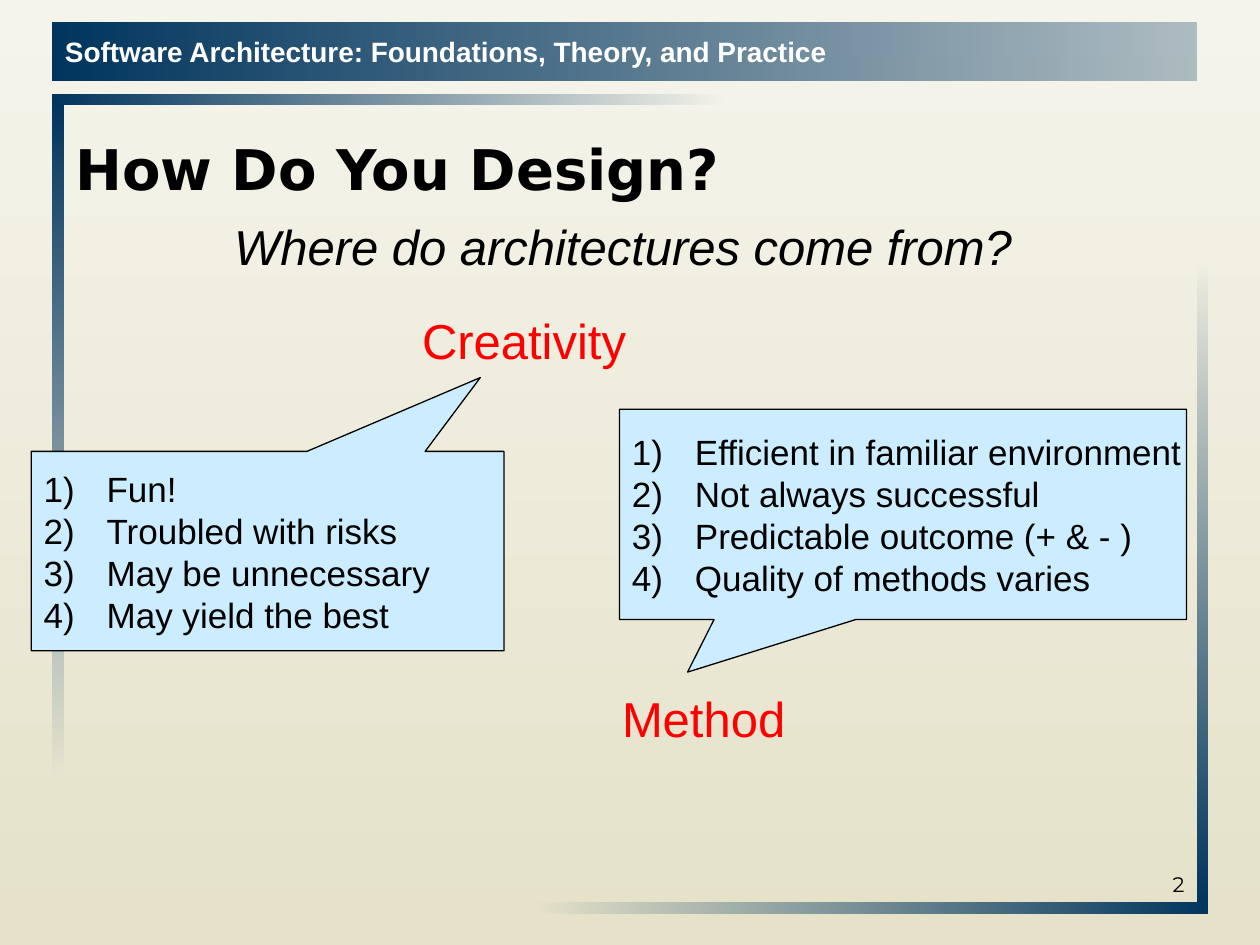
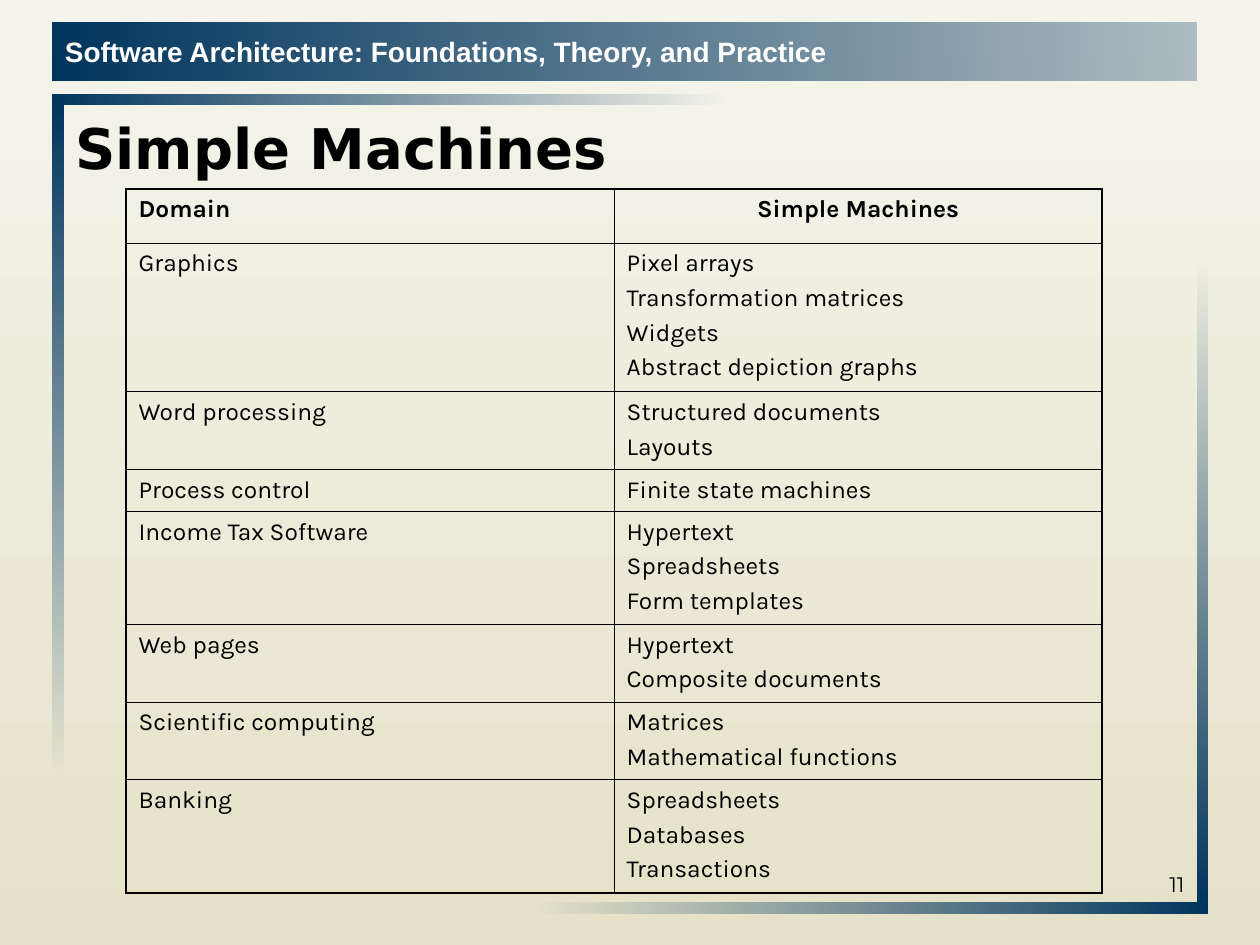
import pptx
import pptx.util
import pptx.dml.color
import pptx.enum.shapes
import pptx.enum.text
import pptx.oxml
import pptx.oxml.ns
import pptx.oxml.xmlchemy

Cm = pptx.util.Cm
Pt = pptx.util.Pt
SHAPE = pptx.enum.shapes.MSO_SHAPE
ANCHOR = pptx.enum.text.MSO_ANCHOR
ALIGN = pptx.enum.text.PP_ALIGN
OxmlElement = pptx.oxml.xmlchemy.OxmlElement

COLORS = {
    "navy": "00355E",
    "paper_top": "F5F4EB",
    "paper_bottom": "E5E2C9",
    "callout": "CCECFF",
    "red": "FF0000",
    "black": "000000",
    "white": "FFFFFF",
}
COURSE = "Software Architecture: Foundations, Theory, and Practice"
RIGHTWARD, DOWNWARD = 0, 270

# Frame bars: left, top, width, height, gradient angle, start and end opacity
FRAME_BARS = [
    (1.06, 1.9, 13.54, 0.21, RIGHTWARD, 100, 0),
    (1.06, 2.11, 0.22, 13.54, DOWNWARD, 100, 0),
    (10.8, 18.19, 13.54, 0.22, RIGHTWARD, 0, 100),
    (24.14, 5.28, 0.21, 12.9, DOWNWARD, 0, 100),
]

SIMPLE_MACHINES = [
    ("Graphics", ["Pixel arrays", "Transformation matrices", "Widgets",
                  "Abstract depiction graphs"]),
    ("Word processing", ["Structured documents", "Layouts"]),
    ("Process control", ["Finite state machines"]),
    ("Income Tax Software", ["Hypertext", "Spreadsheets", "Form templates"]),
    ("Web pages", ["Hypertext", "Composite documents"]),
    ("Scientific computing", ["Matrices", "Mathematical functions"]),
    ("Banking", ["Spreadsheets", "Databases", "Transactions"]),
]


def rgb(name):
    return pptx.dml.color.RGBColor.from_string(COLORS[name])


def fill_gradient(fill, start, end, angle, opacities=(100, 100)):
    fill.gradient()
    fill.gradient_angle = angle
    for i, (stop, color) in enumerate(zip(fill.gradient_stops, (start, end))):
        stop.position = i
        stop.color.rgb = rgb(color)
    clrs = fill._fill._gradFill.iter(pptx.oxml.ns.qn("a:srgbClr"))
    for clr, opacity in zip(clrs, opacities):
        if opacity < 100:
            alpha = OxmlElement("a:alpha")
            alpha.set("val", str(opacity * 1000))
            clr.append(alpha)


def number_paragraph(p):
    pPr = p._p.get_or_add_pPr()
    pPr.set("marL", str(Cm(1.27)))
    pPr.set("indent", str(-Cm(1.27)))
    bullet = OxmlElement("a:buAutoNum")
    bullet.set("type", "arabicParenR")
    pPr.append(bullet)


def write(tf, lines, size, font="Arial", color="black", bold=False,
          italic=False, align=ALIGN.LEFT, space=0, numbered=False):
    if isinstance(lines, str):
        lines = [lines]
    for i, line in enumerate(lines):
        p = tf.add_paragraph() if i else tf.paragraphs[0]
        if numbered:
            number_paragraph(p)
        p.alignment = align
        if i and space:
            p.space_before = Pt(space)
        r = p.add_run()
        r.text = line
        r.font.size = Pt(size)
        r.font.name = font
        r.font.bold = bold
        r.font.italic = italic
        r.font.color.rgb = rgb(color)


def add_label(s, box, text, size, anchor=ANCHOR.TOP, wrap=False, **fmt):
    tf = s.shapes.add_textbox(*map(Cm, box)).text_frame
    tf.word_wrap = wrap
    tf.vertical_anchor = anchor
    write(tf, text, size, **fmt)


def add_box(s, box, shape=SHAPE.RECTANGLE):
    sp = s.shapes.add_shape(shape, *map(Cm, box))
    sp.shadow.inherit = False
    sp.line.fill.background()
    sp.text_frame.word_wrap = False
    sp.text_frame.vertical_anchor = ANCHOR.MIDDLE
    return sp


def add_bar(s, box, angle, opacities):
    sp = add_box(s, box)
    fill_gradient(sp.fill, "navy", "navy", angle, opacities)
    return sp


def add_callout(s, box, tip, points):
    sp = add_box(s, box, SHAPE.RECTANGULAR_CALLOUT)
    sp.adjustments[0], sp.adjustments[1] = tip
    sp.fill.solid()
    sp.fill.fore_color.rgb = rgb("callout")
    sp.line.color.rgb = rgb("black")
    sp.line.width = Pt(0.75)
    write(sp.text_frame, points, 20, numbered=True)


def set_borders(cell, widths):
    """Draw the left, right, top and bottom borders of a cell."""
    tcPr = cell._tc.get_or_add_tcPr()
    for i, (side, width) in enumerate(zip("LRTB", widths)):
        ln = pptx.oxml.parse_xml(
            f'<a:ln{side} {pptx.oxml.ns.nsdecls("a")} w="{Pt(width)}">'
            f'<a:solidFill><a:srgbClr val="{COLORS["black"]}"/></a:solidFill>'
            f'</a:ln{side}>')
        tcPr.insert(i, ln)


def add_machine_table(s, left, top, col_width):
    # Row heights follow the number of lines in the second column
    heights = [1.09] + [0.85 + 0.71 * (len(m) - 1) for _, m in SIMPLE_MACHINES]
    rows = [("Domain", "Simple Machines")] + SIMPLE_MACHINES
    last = len(rows) - 1
    table = s.shapes.add_table(len(rows), 2, Cm(left), Cm(top),
                               Cm(2 * col_width), Cm(sum(heights))).table
    table.first_row = table.horz_banding = False
    for col in table.columns:
        col.width = Cm(col_width)
    for i, (row, height) in enumerate(zip(rows, heights)):
        table.rows[i].height = Cm(height)
        for j, text in enumerate(row):
            cell = table.cell(i, j)
            cell.fill.background()
            outer = (j == 0, j == 1, i == 0, i == last)
            set_borders(cell, [1.08 if edge else 0.45 for edge in outer])
            centred = i == 0 and j == 1
            write(cell.text_frame, text, 14, font="Karla", bold=i == 0,
                  align=ALIGN.CENTER if centred else ALIGN.LEFT, space=3.5)


def add_slide(prs, title, number, title_height):
    """Add a slide with the shared background, band, frame and title."""
    s = prs.slides.add_slide(prs.slide_layouts[6])
    fill_gradient(s.background.fill, "paper_top", "paper_bottom", DOWNWARD)
    for *box, angle, start, end in FRAME_BARS:
        add_bar(s, box, angle, (start, end))
    band = add_bar(s, (1.06, 0.45, 23.07, 1.18), RIGHTWARD, (100, 29))
    write(band.text_frame, COURSE, 16, color="white", bold=True)
    add_label(s, (1.27, 2.12, 22.86, title_height), title, 32, wrap=True,
              anchor=ANCHOR.MIDDLE, font="DejaVu Sans", bold=True)
    add_label(s, (18.2, 16.93, 5.93, 1.27), str(number), 12, wrap=True,
              anchor=ANCHOR.BOTTOM, font="Montserrat", align=ALIGN.RIGHT)
    return s


def main():
    prs = pptx.Presentation()
    prs.slide_width, prs.slide_height = Cm(25.4), Cm(19.05)

    # Sources of design
    s = add_slide(prs, "How Do You Design?", 2, 2.54)
    add_label(s, (4.47, 4.25, 16.2, 1.45),
              "Where do architectures come from?", 28, italic=True)
    add_label(s, (12.29, 13.76, 4, 1.45), "Method", 28, color="red")
    add_callout(s, (12.49, 8.25, 11.43, 4.24), (-0.38, 0.75),
                ["Efficient in familiar environment", "Not always successful",
                 "Predictable outcome (+ & - )", "Quality of methods varies"])
    add_label(s, (8.26, 6.14, 4.7, 1.45), "Creativity", 28, color="red")
    add_callout(s, (0.63, 9.1, 9.53, 4.02), (0.45, -0.87),
                ["Fun!", "Troubled with risks", "May be unnecessary",
                 "May yield the best"])

    # Table of simple machines by domain
    s = add_slide(prs, "Simple Machines", 11, 1.69)
    add_machine_table(s, 2.54, 3.81, 9.84)

    prs.save("out.pptx")


if __name__ == "__main__":
    main()
